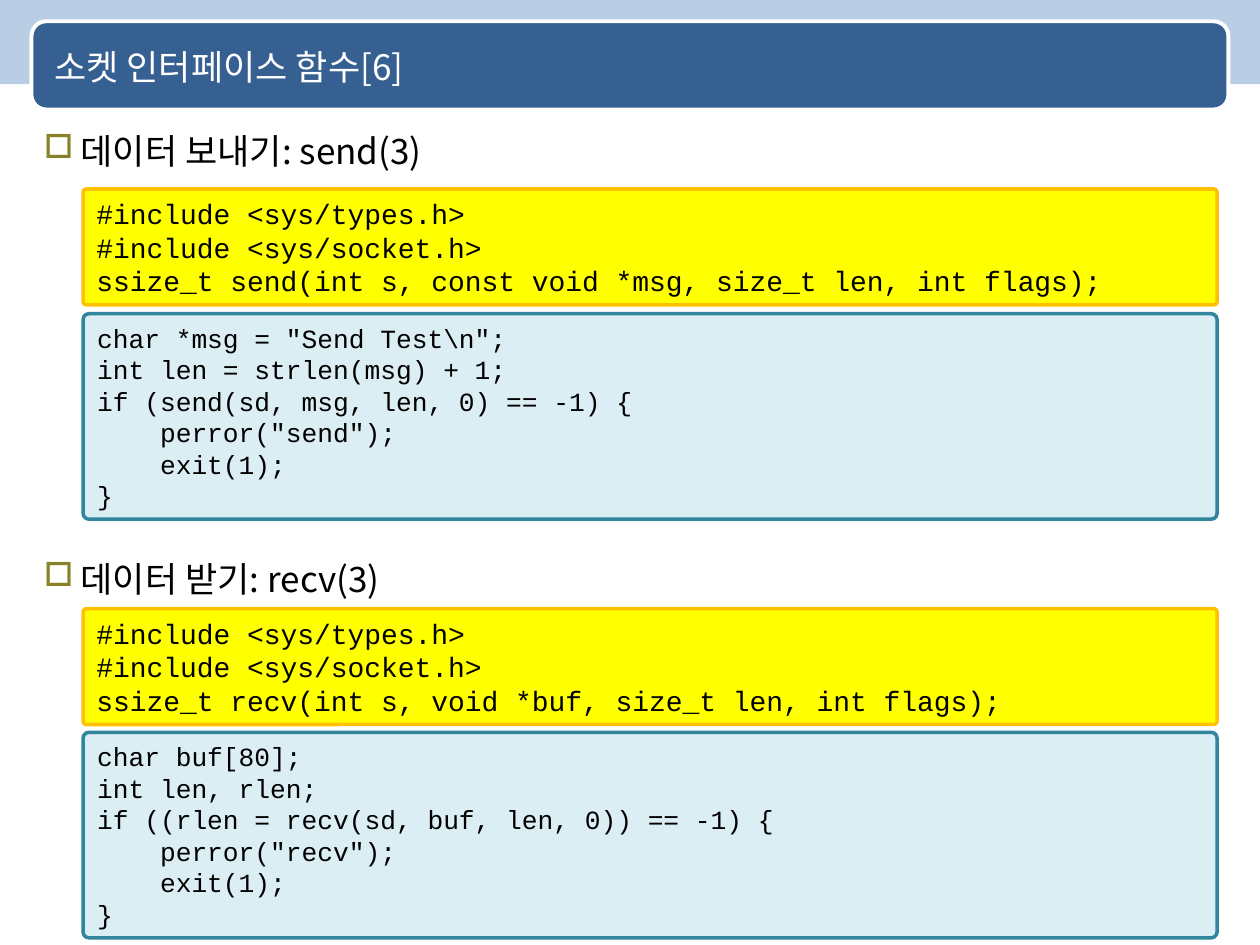
"""Build the slide on the send and recv socket functions."""
from dataclasses import dataclass
from typing import Optional

from lxml.etree import SubElement
from pptx import Presentation
from pptx.dml.color import RGBColor
from pptx.enum.shapes import MSO_SHAPE
from pptx.enum.text import MSO_ANCHOR, PP_ALIGN
from pptx.oxml.ns import qn
from pptx.util import Pt

COLORS = {
    "band": "B9CDE5", "title": "376092", "white": "FFFFFF", "black": "000000",
    "bullet": "888128", "prototype": "FFFF00", "prototype_line": "FFC000",
    "example": "DBEEF4", "example_line": "31859C",
}
HEADING_FONT = "Noto Sans CJK KR"
CODE_FONT = "Courier New"
CODE_LEFT, CODE_WIDTH = 47.5, 648


@dataclass
class Panel:
    top: float
    height: float
    style: str
    size: float
    align: PP_ALIGN
    code: str


@dataclass
class Section:
    top: float
    heading: str
    panels: list[Panel]


def prototype(top: float, signature: str) -> Panel:
    code = f"#include <sys/types.h>\n#include <sys/socket.h>\n{signature}"
    return Panel(top, 66.2, "prototype", 16, PP_ALIGN.LEFT, code)


def example(top: float, setup: str, condition: str, name: str) -> Panel:
    code = f'{setup}\nif ({condition} == -1) {{\n    perror("{name}");\n    exit(1);\n}}'
    return Panel(top, 117.4, "example", 15, PP_ALIGN.JUSTIFY, code)


SECTIONS = [
    Section(70.5, "데이터 보내기: send(3)", [
        prototype(108, "ssize_t send(int s, const void *msg, size_t len, int flags);"),
        example(179.3, 'char *msg = "Send Test\\n";\nint len = strlen(msg) + 1;',
                "send(sd, msg, len, 0)", "send"),
    ]),
    Section(315.2, "데이터 받기: recv(3)", [
        prototype(347.8, "ssize_t recv(int s, void *buf, size_t len, int flags);"),
        example(418.5, "char buf[80];\nint len, rlen;",
                "(rlen = recv(sd, buf, len, 0))", "recv"),
    ]),
]


def add_bullet(paragraph) -> None:
    properties = paragraph._p.get_or_add_pPr()
    properties.set("marL", str(Pt(21)))
    properties.set("indent", str(-Pt(21)))
    color = SubElement(properties, qn("a:buClr"))
    SubElement(color, qn("a:srgbClr"), val=COLORS["bullet"])
    SubElement(properties, qn("a:buSzPct"), val="95000")
    SubElement(properties, qn("a:buChar"), char="□")


def write_text(shape, text: str, *, font: str, size: float, color: str = "black",
               align: PP_ALIGN = PP_ALIGN.LEFT, anchor: MSO_ANCHOR = MSO_ANCHOR.MIDDLE,
               bullet: bool = False) -> None:
    frame = shape.text_frame
    frame.word_wrap = True
    frame.vertical_anchor = anchor
    for index, line in enumerate(text.split("\n")):
        paragraph = frame.add_paragraph() if index else frame.paragraphs[0]
        paragraph.alignment = align
        if bullet:
            add_bullet(paragraph)
        run = paragraph.add_run()
        run.text = line
        run.font.size = Pt(size)
        run.font.color.rgb = RGBColor.from_string(COLORS[color])
        run.font.name = font
        SubElement(run.font._element, qn("a:ea"), typeface=font)


def add_box(slide, left: float, top: float, width: float, height: float, fill: str, *,
            line: Optional[str] = None, line_width: float = 2, radius: Optional[float] = None):
    kind = MSO_SHAPE.RECTANGLE if radius is None else MSO_SHAPE.ROUNDED_RECTANGLE
    shape = slide.shapes.add_shape(kind, Pt(left), Pt(top), Pt(width), Pt(height))
    shape.shadow.inherit = False
    shape.fill.solid()
    shape.fill.fore_color.rgb = RGBColor.from_string(COLORS[fill])
    if radius is not None:
        shape.adjustments[0] = radius
    if line:
        shape.line.color.rgb = RGBColor.from_string(COLORS[line])
        shape.line.width = Pt(line_width)
    else:
        shape.line.fill.background()
    return shape


def add_title(slide, text: str) -> None:
    add_box(slide, 0, 0, 720, 48.2, "band")
    add_box(slide, 18, 12.2, 684, 50.4, "title", line="white", line_width=2.25, radius=0.167)
    title = slide.shapes.add_textbox(Pt(24), Pt(13.7), Pt(666), Pt(48.2))
    write_text(title, text, font=HEADING_FONT, size=20, color="white")


def add_section(slide, section: Section) -> None:
    heading = slide.shapes.add_textbox(Pt(18), Pt(section.top), Pt(684), Pt(36))
    write_text(heading, section.heading, font=HEADING_FONT, size=20,
               anchor=MSO_ANCHOR.TOP, bullet=True)
    for panel in section.panels:
        shape = add_box(slide, CODE_LEFT, panel.top, CODE_WIDTH, panel.height, panel.style,
                        line=f"{panel.style}_line", radius=0.028)
        write_text(shape, panel.code, font=CODE_FONT, size=panel.size, align=panel.align)


def main() -> None:
    presentation = Presentation()
    presentation.slide_width, presentation.slide_height = Pt(720), Pt(540)
    slide = presentation.slides.add_slide(presentation.slide_layouts[6])
    add_title(slide, "소켓 인터페이스 함수[6]")
    for section in SECTIONS:
        add_section(slide, section)
    presentation.save("out.pptx")


if __name__ == "__main__":
    main()
